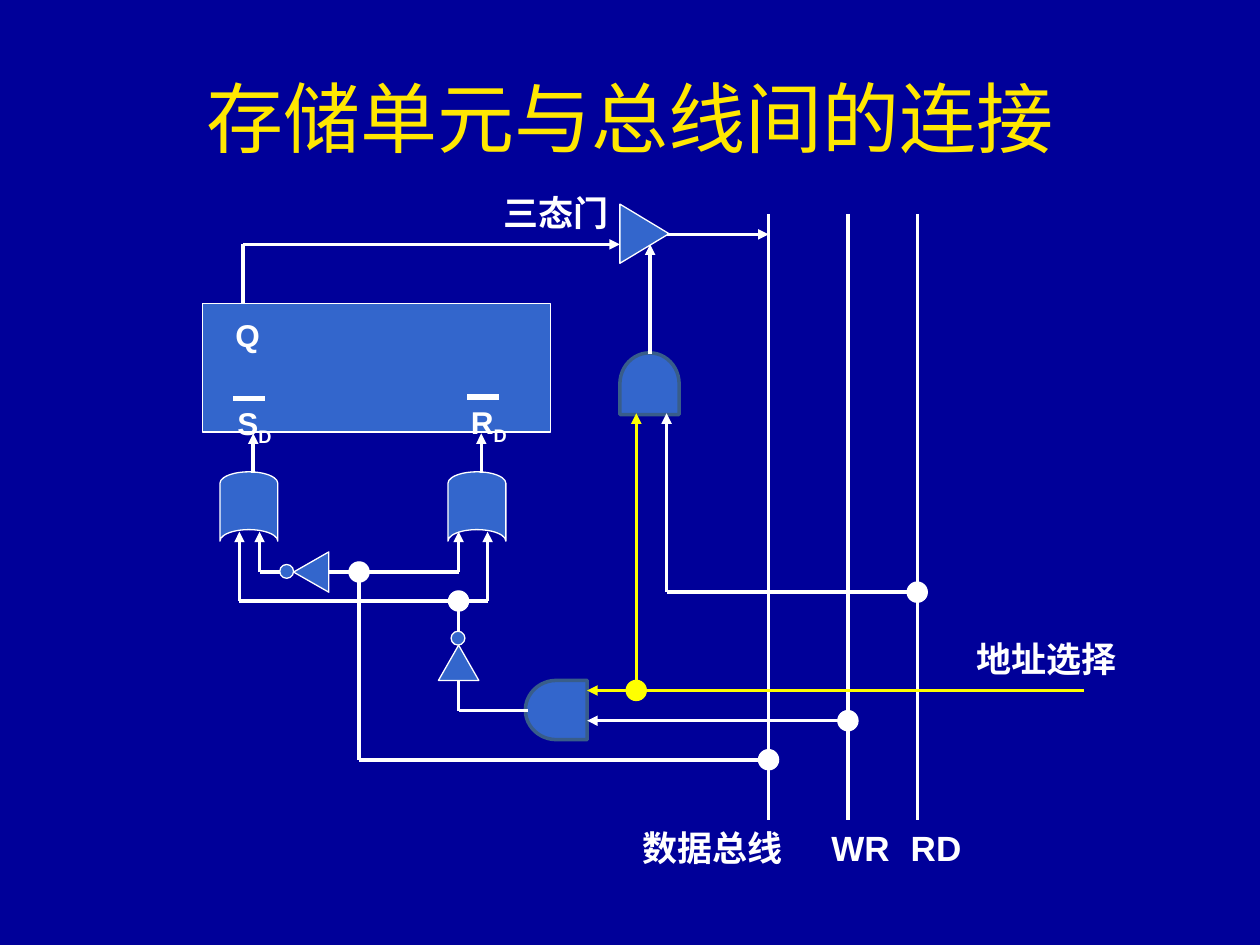
from lxml import etree
from pptx import Presentation
from pptx import util as u
from pptx.dml.color import RGBColor
from pptx.enum import shapes, text
from pptx.oxml.ns import qn

NAVY = RGBColor(0x00, 0x00, 0x99)
BLUE = RGBColor(0x33, 0x66, 0xCC)
STEEL = RGBColor(0x38, 0x5D, 0x8A)
WHITE = RGBColor(0xFF, 0xFF, 0xFF)
YELLOW = RGBColor(0xFF, 0xFF, 0x00)
GOLD = RGBColor(0xFF, 0xE7, 0x01)
KIND = shapes.MSO_SHAPE
LEFT, CENTER = text.PP_ALIGN.LEFT, text.PP_ALIGN.CENTER


class Board:
    font = "Arial"

    def __init__(self, deck):
        self.slide = deck.slides.add_slide(deck.slide_layouts[5])
        fill = self.slide.background.fill
        fill.solid()
        fill.fore_color.rgb = NAVY

    def style(self, run, size, color, bold):
        run.font.name = self.font
        run.font.size = u.Pt(size)
        run.font.bold = bold
        run.font.color.rgb = color

    def title(self, words, x, y, w, h):
        box = self.slide.shapes.title
        box.left, box.top, box.width, box.height = map(u.Inches, (x, y, w, h))
        frame = box.text_frame
        frame.text = words
        frame.vertical_anchor = text.MSO_ANCHOR.MIDDLE
        para = frame.paragraphs[0]
        para.alignment = CENTER
        self.style(para.runs[0], 44, GOLD, False)

    def label(self, words, x, y, w, h=0.44, size=20, sub="", align=LEFT):
        box = self.slide.shapes.add_textbox(*map(u.Inches, (x, y, w, h)))
        frame = box.text_frame
        frame.word_wrap = False
        frame.auto_size = text.MSO_AUTO_SIZE.SHAPE_TO_FIT_TEXT
        frame.text = words
        para = frame.paragraphs[0]
        para.alignment = align
        if sub:
            low = para.add_run()
            low.text = sub
            low.font._element.set("baseline", "-25000")
        for run in para.runs:
            self.style(run, size, WHITE, True)

    def shape(self, kind, x, y, w, h, turn=0, fill=BLUE, line=WHITE, width=0.75):
        part = self.slide.shapes.add_shape(kind, *map(u.Inches, (x, y, w, h)))
        part.shadow.inherit = False
        part.rotation = turn
        part.fill.solid()
        part.fill.fore_color.rgb = fill
        part.line.color.rgb = line
        part.line.width = u.Pt(width)

    def gate(self, x, y, turn):
        self.shape(KIND.FLOWCHART_DELAY, x, y, 0.49, 0.47, turn, line=STEEL, width=2)

    def inverter(self, x, y, bx, by, turn=0):
        self.shape(KIND.ISOSCELES_TRIANGLE, x, y, 0.32, 0.28, turn)
        self.shape(KIND.OVAL, bx, by, 0.11, 0.11)

    def dot(self, x, y, color=WHITE):
        self.shape(KIND.OVAL, x - 0.08, y - 0.08, 0.16, 0.16, fill=color, line=color)

    def wire(self, *points, color=WHITE, width=2, arrow=False):
        for start, end in zip(points, points[1:]):
            line = self.slide.shapes.add_connector(
                shapes.MSO_CONNECTOR.STRAIGHT, *map(u.Inches, start + end))
            line.line.color.rgb = color
            line.line.width = u.Pt(width)
            if arrow and end == points[-1]:
                tail = etree.SubElement(line.line._get_or_add_ln(), qn("a:tailEnd"))
                tail.set("type", "triangle")
            etree.SubElement(line._element.spPr, qn("a:effectLst"))


def main():
    deck = Presentation()
    deck.slide_width, deck.slide_height = u.Inches(10), u.Inches(7.5)
    board = Board(deck)
    board.title("存储单元与总线间的连接", 0.5, 0.3, 9, 1.25)

    data, write, read = 6.1, 6.73, 7.28
    for bus in (data, write, read):
        board.wire((bus, 1.7), (bus, 6.51))

    board.shape(KIND.RECTANGLE, 1.61, 2.41, 2.76, 1.02)
    board.label("Q", 1.77, 2.46, 0.41, 0.4, size=18)

    board.shape(KIND.ISOSCELES_TRIANGLE, 4.88, 1.66, 0.47, 0.39, 90)
    board.gate(4.91, 2.81, 270)
    board.gate(4.17, 5.4, 180)
    board.inverter(2.31, 4.4, 2.22, 4.48, 270)
    board.inverter(3.48, 5.12, 3.58, 5.01)
    for x in (1.7, 3.51):
        board.shape(KIND.FLOWCHART_STORED_DATA, x, 3.79, 0.55, 0.46, 90)
        board.wire((x + 0.31, 3.75), (x + 0.31, 3.44), arrow=True)
    for name, x, y in (("S", 1.77, 3.16), ("R", 3.63, 3.15)):
        board.label(name, x, y, 0.5, size=18, sub="D", align=CENTER)
        board.wire((x + 0.08, y), (x + 0.33, y), width=3)

    board.wire((1.93, 2.41), (1.93, 1.94), (4.92, 1.94), arrow=True)
    board.wire((5.29, 1.86), (data, 1.86), arrow=True)
    board.wire((5.16, 2.81), (5.16, 1.94), arrow=True)
    board.wire((read, 4.7), (5.29, 4.7), (5.29, 3.28), arrow=True)
    board.wire((write, 5.72), (4.66, 5.72), arrow=True)
    board.wire((data, 6.03), (2.85, 6.03), (2.85, 4.54))
    board.wire((2.61, 4.54), (3.64, 4.54), (3.64, 4.22), arrow=True)
    board.wire((2.22, 4.54), (2.06, 4.54), (2.06, 4.22), arrow=True)
    board.wire((4.19, 5.64), (3.64, 5.64), (3.64, 5.4))
    board.wire((3.64, 5.01), (3.64, 4.77))
    for x in (1.9, 3.87):
        board.wire((3.64, 4.77), (x, 4.77), (x, 4.22), arrow=True)
    board.wire((8.6, 5.48), (4.66, 5.48), color=YELLOW, arrow=True)
    board.wire((5.05, 5.48), (5.05, 3.28), color=YELLOW, arrow=True)

    for x, y in ((data, 6.03), (write, 5.72), (read, 4.7), (3.64, 4.77), (2.85, 4.54)):
        board.dot(x, y)
    board.dot(5.05, 5.48, YELLOW)

    board.label("三态门", 3.9, 1.47, 1.06)
    board.label("地址选择", 7.65, 5.01, 1.34)
    board.label("数据总线", 5, 6.51, 1.34)
    board.label("WR", 6.5, 6.51, 0.69)
    board.label("RD", 7.13, 6.51, 0.63)
    deck.save("out.pptx")


if __name__ == "__main__":
    main()
